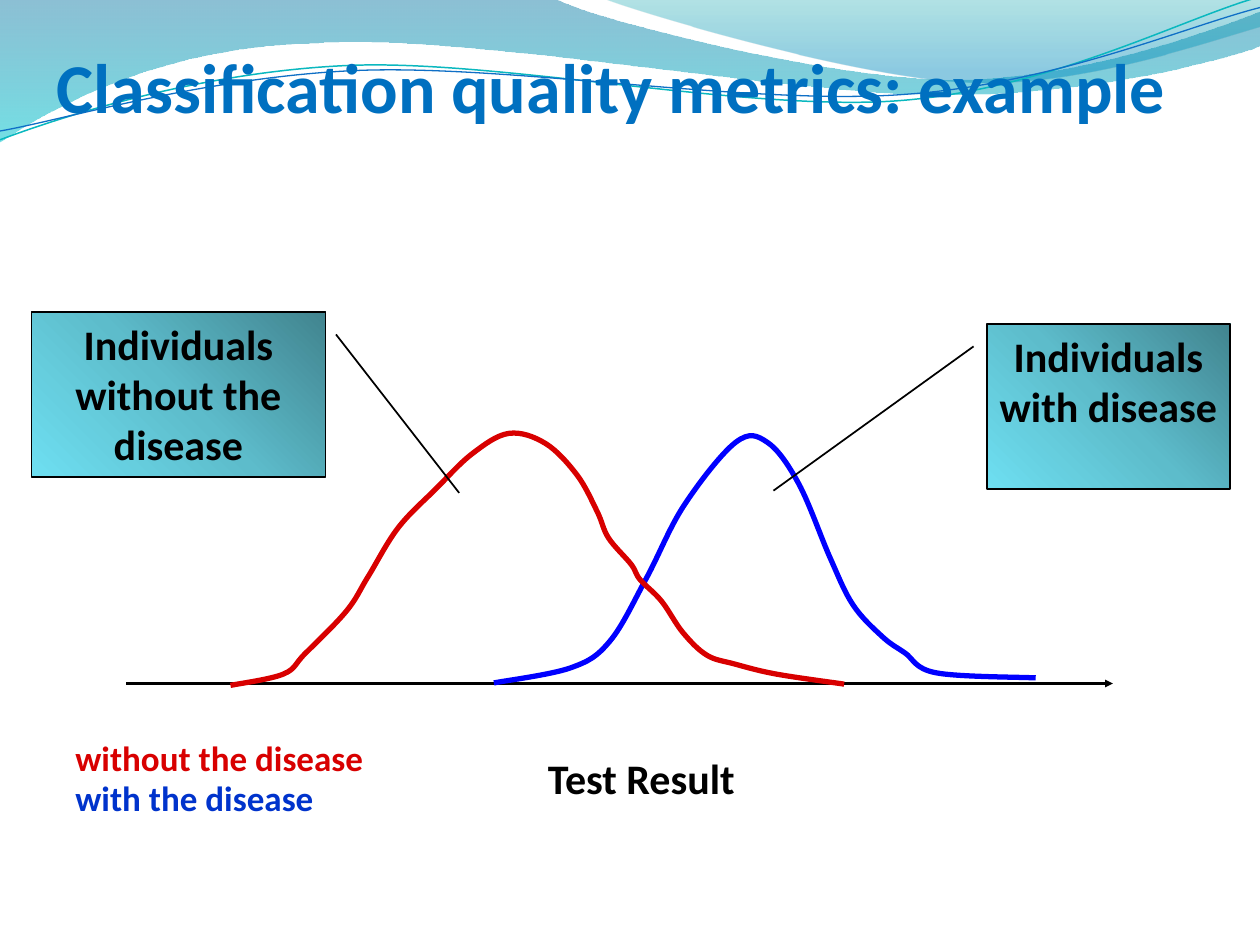
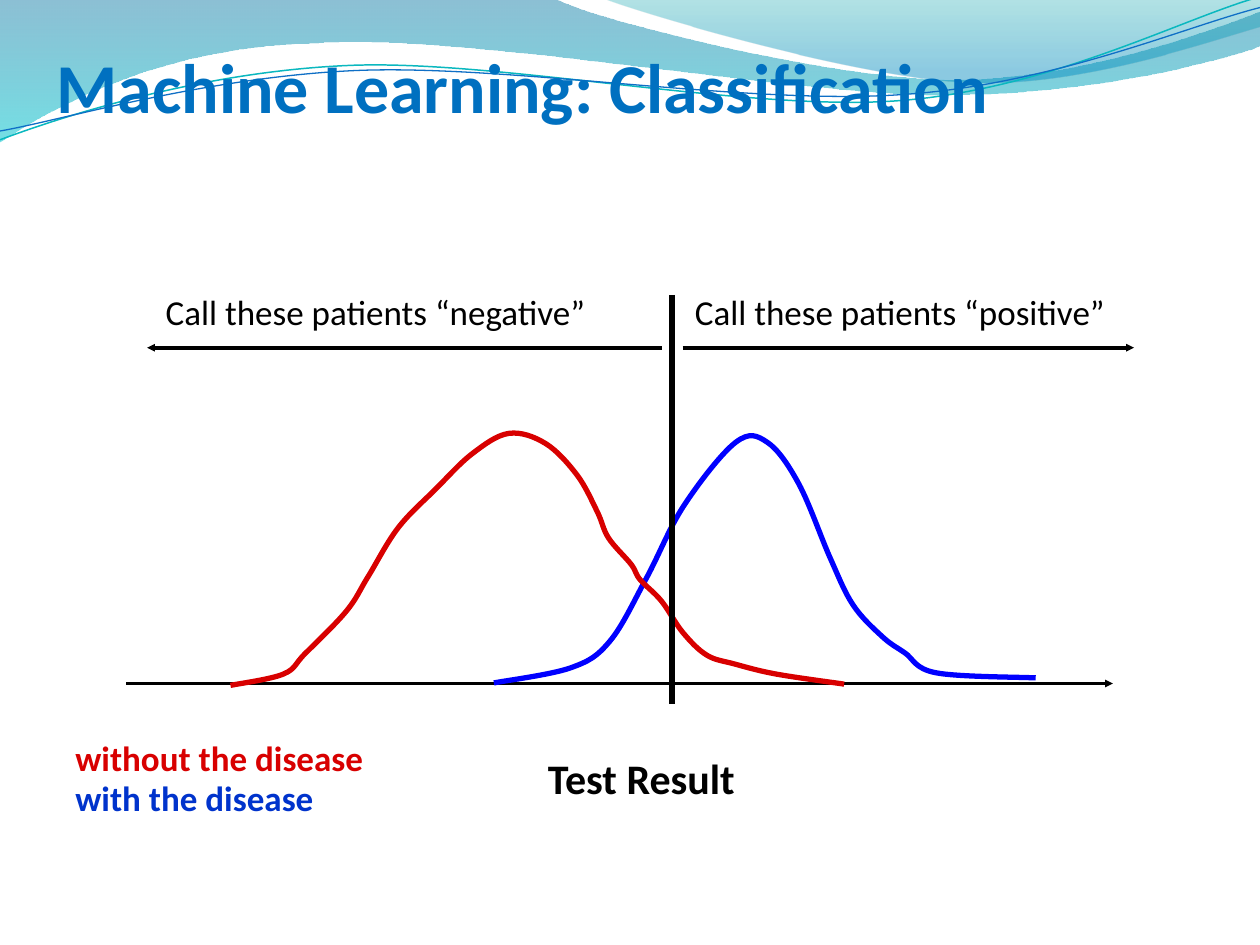
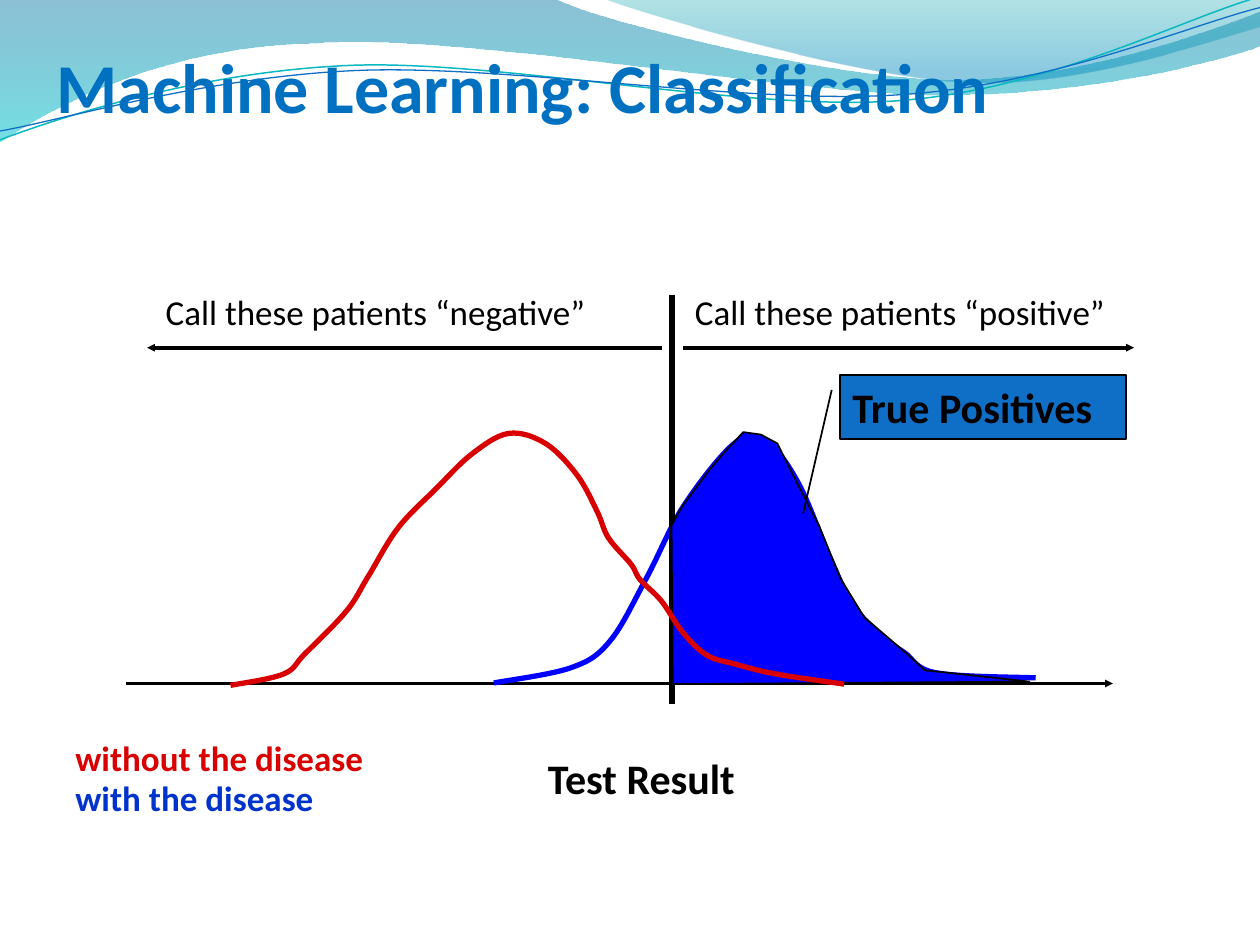
"""Build three slides on classification quality with overlapping test-result curves."""
from dataclasses import dataclass, replace

from lxml import etree
from pptx import Presentation
from pptx import util as u
from pptx.dml.color import RGBColor
from pptx.enum import shapes, text
from pptx.oxml.ns import qn

Point = tuple[float, float]
Segment = tuple[Point, ...]
Box = tuple[float, float, float, float]
Stop = tuple[int, RGBColor, int]

BLACK = RGBColor(0x00, 0x00, 0x00)
TITLE_BLUE = RGBColor(0x00, 0x70, 0xC0)
RED = RGBColor(0xD8, 0x00, 0x00)
BLUE = RGBColor(0x00, 0x00, 0xFF)
LEGEND_BLUE = RGBColor(0x00, 0x33, 0xCC)
ACCENT_BLUE = RGBColor(0x0F, 0x6F, 0xC6)
ACCENT_TEAL = RGBColor(0x0A, 0xB8, 0xBF)
FONT = "Calibri"

COLS, ROWS = 100, 75
WIDTH, HEIGHT = u.Inches(10), u.Inches(7.5)

BAND_STOPS = [(0, RGBColor(0x00, 0x74, 0xA1), 45), (100, RGBColor(0x00, 0xC6, 0xCF), 55)]
CREST_STOPS = [(0, RGBColor(0x00, 0xA1, 0xA9), 30), (80, RGBColor(0x00, 0x8B, 0xBF), 45)]
CALLOUT_STOPS = [
    (0, RGBColor(0x41, 0x84, 0x8F), 100),
    (50, RGBColor(0x5D, 0xBC, 0xCB), 100),
    (100, RGBColor(0x6E, 0xDF, 0xF1), 100),
]

BAND_TOP = [(44, -0.1), (47.6, 1.7), (66.4, 6.3), (75.8, 6.3), (85.3, 6.3), (95.8, 2.6), (100, 0.9)]
BAND_BOTTOM = [(100.1, 3.6), (98.3, 4.4), (87, 7.6), (74.6, 7.5), (62.2, 7.5), (38.2, 2.8),
               (25.7, 3.4), (12.9, 3.6), (4.6, 8.3), (-0.1, 11.3)]
CREST = [(47.9, -0.1), (50.9, 1.1), (68.2, 6.2), (76.9, 6.5), (85.6, 6.9), (96.1, 3.2), (100, 2.1)]
TEAL_LINE = [(0, 11.1), (4.8, 9.3), (15.8, 5.7), (27.7, 5.2), (39.5, 4.7), (59.3, 8.9),
             (71.3, 8), (83.3, 7.1), (93.8, 1.5), (99.8, -0.2)]
BLUE_LINE = [(0, 10.4), (4.7, 9.6), (16.4, 6.1), (28.3, 5.6), (40.3, 5.1), (59.7, 8.4),
             (71.7, 7.5), (83.6, 6.7), (94.1, 2.1), (100, 0.6)]

WITH_DISEASE = [(39.2, 54.2), (45.3, 53), (48.4, 50.9), (51.3, 45.9), (54.3, 40.1), (58.4, 35.1),
                (60.9, 35.1), (63.4, 38.4), (65.9, 44.3), (67.7, 48), (70, 50.5), (71.8, 51.8),
                (74.3, 53.4), (82.2, 53.8)]
WITHOUT_DISEASE = [(18.3, 54.4), (22.5, 53.5), (24.2, 51.9), (27.5, 48.5), (29.2, 45.8),
                   (31.6, 41.9), (34.6, 38.8), (37.5, 36), (40.4, 34.4), (43.3, 35.2),
                   (45.8, 37.7), (47.4, 40.6), (48.3, 42.7), (50.1, 44.8), (50.8, 46),
                   (52.5, 47.7), (54.2, 50.2), (56.1, 52), (58.3, 52.7), (61.6, 53.5), (67, 54.3)]
TRUE_POSITIVE_AREA = [(53.3, 41.7), (54.2, 40.1), (54.9, 39.2), (56.3, 37.3), (57.5, 35.9),
                      (59, 34.3), (60.4, 34.5), (61.7, 35.2), (63.3, 38.4), (65, 41.7),
                      (66.7, 45.9), (68.6, 49), (72.1, 52), (73.4, 53.2), (78, 53.7),
                      (81.7, 54.1), (53.4, 54.3), (53.3, 41.7)]


@dataclass(frozen=True)
class Label:
    """Words in a box on the grid."""
    words: str
    box: Box
    size: int = 24
    color: RGBColor = BLACK
    bold: bool = True


@dataclass(frozen=True)
class Callout:
    """A boxed label whose leader runs between shares of the box."""
    label: Label
    leader: Box
    align: text.PP_ALIGN = text.PP_ALIGN.CENTER
    fill: RGBColor | None = None


@dataclass(frozen=True)
class Rule:
    """A straight line on the grid, with or without an arrowhead."""
    start: Point
    end: Point
    width: float = 2.25
    arrow: bool = True


AXIS = Rule((10, 54.25), (88.33, 54.25))
CUTOFF = Rule((53.33, 23.4), (53.33, 55.9), 3, False)
CALLS = [
    (Rule((52.5, 27.6), (11.67, 27.6)),
     Label("Call these patients “negative”", (12.17, 22.6, 43.33, 4.3), 20, bold=False)),
    (Rule((54.17, 27.6), (90, 27.6)),
     Label("Call these patients “positive”", (54.17, 22.6, 43.33, 4.3), 20, bold=False)),
]
AXIS_LABEL = Label("Test Result", (42.5, 59.25, 27.5, 5))
LEGEND = [
    Label("without the disease", (5, 58, 25.3, 4.3), 20, RED),
    Label("with the disease", (5, 61.1, 26.1, 4.3), 20, LEGEND_BLUE),
]
GROUP_CALLOUTS = [
    Callout(Label("Individuals with disease", (78.33, 25.7, 19.3, 13.1)),
            (0.137, -0.055, 1.011, -0.878)),
    Callout(Label("Individuals without the disease", (2.5, 24.75, 23.33, 13.1)),
            (0.137, 1.036, 1.097, 1.455)),
]
TRUE_POSITIVES = Callout(Label("True Positives", (66.67, 29.77, 22.7, 5.1)),
                         (0.231, -0.029, 2.154, -0.129), text.PP_ALIGN.LEFT, ACCENT_BLUE)


def x(cols: float) -> int:
    """Turn grid columns into a length."""
    return round(cols * WIDTH / COLS)


def y(rows: float) -> int:
    """Turn grid rows into a length."""
    return round(rows * HEIGHT / ROWS)


def place(box: Box) -> tuple[int, int, int, int]:
    """Turn a grid box into left, top, width and height."""
    return x(box[0]), y(box[1]), x(box[2]), y(box[3])


def lines(points: list[Point]) -> list[Segment]:
    """Make one straight segment to each point."""
    return [(point,) for point in points]


def curves(controls: list[Point]) -> list[Segment]:
    """Split control points after the first into cubic segments."""
    return [tuple(controls[i:i + 3]) for i in range(1, len(controls), 3)]


def smooth(knots: list[Point]) -> list[Point]:
    """Find the control points of a smooth curve through the knots."""
    padded = [knots[0], *knots, knots[-1]]
    controls = [knots[0]]
    for before, a, b, after in zip(padded, padded[1:], padded[2:], padded[3:]):
        controls += [
            tuple(p + (q - o) / 6 for o, p, q in zip(before, a, b)),
            tuple(q - (r - p) / 6 for p, q, r in zip(a, b, after)),
            b,
        ]
    return controls


def set_gradient(sp, stops: list[Stop], corner: bool = False) -> None:
    """Fill a shape downwards, or outwards from its top right corner."""
    sp.fill.gradient()
    grad = sp.element.spPr.find(qn("a:gradFill"))
    grad.clear()
    stop_list = etree.SubElement(grad, qn("a:gsLst"))
    for position, color, opacity in stops:
        gs = etree.SubElement(stop_list, qn("a:gs"), pos=str(position * 1000))
        rgb = etree.SubElement(gs, qn("a:srgbClr"), val=str(color))
        if opacity < 100:
            etree.SubElement(rgb, qn("a:alpha"), val=str(opacity * 1000))
    if corner:
        shade = etree.SubElement(grad, qn("a:path"), path="circle")
        etree.SubElement(shade, qn("a:fillToRect"), l="100000", b="100000")
    else:
        etree.SubElement(grad, qn("a:lin"), ang="5400000", scaled="0")


def set_line(sp, color: RGBColor, width: float) -> None:
    """Give a shape or connector a plain line."""
    sp.line.color.rgb = color
    sp.line.width = u.Pt(width)


def bend(sp, segments: list[Segment]) -> None:
    """Turn each run of three control points in a freeform into a cubic curve."""
    steps = iter(list(sp.element.iter(qn("a:lnTo"))))
    for segment in segments:
        run = [next(steps) for _ in segment]
        if len(run) == 3:
            cubic = etree.Element(qn("a:cubicBezTo"))
            run[0].addprevious(cubic)
            for step in run:
                cubic.append(step[0])
                step.getparent().remove(step)


def add_outline(s, start: Point, segments: list[Segment], closed: bool = False):
    """Draw a freeform of straight and curved segments, without fill or line."""
    builder = s.shapes.build_freeform(x(start[0]), y(start[1]), scale=1.0)
    builder.add_line_segments([(x(px), y(py)) for segment in segments for px, py in segment],
                              close=closed)
    sp = builder.convert_to_shape()
    bend(sp, segments)
    sp.shadow.inherit = False
    sp.fill.background()
    sp.line.fill.background()
    return sp


def add_curve(s, controls: list[Point], color: RGBColor, width: float = 3):
    """Draw an open coloured curve."""
    sp = add_outline(s, controls[0], curves(controls))
    set_line(sp, color, width)
    return sp


def add_waves(s, master) -> None:
    """Draw the wave header and put it on the master."""
    edge = [*lines(BAND_TOP[:1]), *curves(BAND_TOP),
            *lines(BAND_BOTTOM[:1]), *curves(BAND_BOTTOM), *lines([(0, 0)])]
    band = add_outline(s, (0, 0), edge, closed=True)
    set_gradient(band, BAND_STOPS)
    crest = add_outline(s, CREST[0], [*curves(CREST), *lines([(100, 0), CREST[0]])], closed=True)
    set_gradient(crest, CREST_STOPS)
    teal = add_curve(s, TEAL_LINE, ACCENT_TEAL, 0.85)
    blue = add_curve(s, BLUE_LINE, ACCENT_BLUE, 0.75)
    for sp in (band, crest, teal, blue):
        master.shapes.element.append(sp.element)


def write(tf, label: Label, align: text.PP_ALIGN = text.PP_ALIGN.LEFT) -> None:
    """Write a label's words into a text frame."""
    tf.text = label.words
    tf.word_wrap = True
    tf.vertical_anchor = text.MSO_ANCHOR.TOP
    p = tf.paragraphs[0]
    p.alignment = align
    p.font.name = FONT
    p.font.size = u.Pt(label.size)
    p.font.bold = label.bold
    p.font.color.rgb = label.color


def add_label(s, label: Label) -> None:
    """Add a text box."""
    tf = s.shapes.add_textbox(*place(label.box)).text_frame
    write(tf, label)
    tf.auto_size = text.MSO_AUTO_SIZE.SHAPE_TO_FIT_TEXT


def add_callout(s, callout: Callout) -> None:
    """Add a callout with its leader line."""
    sp = s.shapes.add_shape(shapes.MSO_SHAPE.LINE_CALLOUT_1, *place(callout.label.box))
    sp.shadow.inherit = False
    for i, share in enumerate(callout.leader):
        sp.adjustments[i] = share
    if callout.fill is None:
        set_gradient(sp, CALLOUT_STOPS, corner=True)
    else:
        sp.fill.solid()
        sp.fill.fore_color.rgb = callout.fill
    set_line(sp, BLACK, 1)
    write(sp.text_frame, callout.label, callout.align)


def add_rule(s, rule: Rule) -> None:
    """Add a straight black connector."""
    (x1, y1), (x2, y2) = rule.start, rule.end
    sp = s.shapes.add_connector(shapes.MSO_CONNECTOR.STRAIGHT, x(x1), y(y1), x(x2), y(y2))
    set_line(sp, BLACK, rule.width)
    if rule.arrow:
        etree.SubElement(sp.element.spPr.find(qn("a:ln")), qn("a:tailEnd"),
                         type="triangle", w="sm", len="sm")
    etree.SubElement(sp.element.spPr, qn("a:effectLst"))


def add_cutoff(s) -> None:
    """Add the cut-off line with the two calls beside it."""
    add_rule(s, CUTOFF)
    for rule, label in CALLS:
        add_rule(s, rule)
        add_label(s, label)


def add_legend(s) -> None:
    """Name the two curves in their colours."""
    for label in LEGEND:
        add_label(s, label)


def add_true_positive_area(s) -> None:
    """Fill the area under the disease curve beyond the cut-off."""
    sp = add_outline(s, TRUE_POSITIVE_AREA[0], lines(TRUE_POSITIVE_AREA[1:]), closed=True)
    sp.fill.solid()
    sp.fill.fore_color.rgb = BLUE
    set_line(sp, BLACK, 1)


def add_plot_slide(prs, title: str, axis_label: Label = AXIS_LABEL):
    """Add a titled slide with the axis and the disease curve."""
    s = prs.slides.add_slide(prs.slide_layouts.get_by_name("Title Only"))
    heading = Label(title, (3.5, 2.95, 94, 9.5), 40, TITLE_BLUE)
    sp = s.shapes.title
    sp.left, sp.top, sp.width, sp.height = place(heading.box)
    write(sp.text_frame, heading)
    sp.text_frame.auto_size = text.MSO_AUTO_SIZE.NONE
    add_rule(s, AXIS)
    add_label(s, axis_label)
    add_curve(s, smooth(WITH_DISEASE), BLUE)
    return s


def main() -> None:
    """Build and save the slides."""
    prs = Presentation()
    prs.slide_width, prs.slide_height = WIDTH, HEIGHT

    s = add_plot_slide(prs, "Classification quality metrics: example",
                       replace(AXIS_LABEL, box=(42.5, 59.25, 19.3, 5)))
    add_waves(s, prs.slide_master)
    add_curve(s, smooth(WITHOUT_DISEASE), RED)
    for callout in GROUP_CALLOUTS:
        add_callout(s, callout)
    add_legend(s)

    s = add_plot_slide(prs, "Machine Learning: Classification")
    add_curve(s, smooth(WITHOUT_DISEASE), RED)
    add_cutoff(s)
    add_legend(s)

    s = add_plot_slide(prs, "Machine Learning: Classification")
    add_cutoff(s)
    add_true_positive_area(s)
    add_legend(s)
    add_callout(s, TRUE_POSITIVES)
    add_curve(s, smooth(WITHOUT_DISEASE), RED)

    prs.save("out.pptx")


main()
